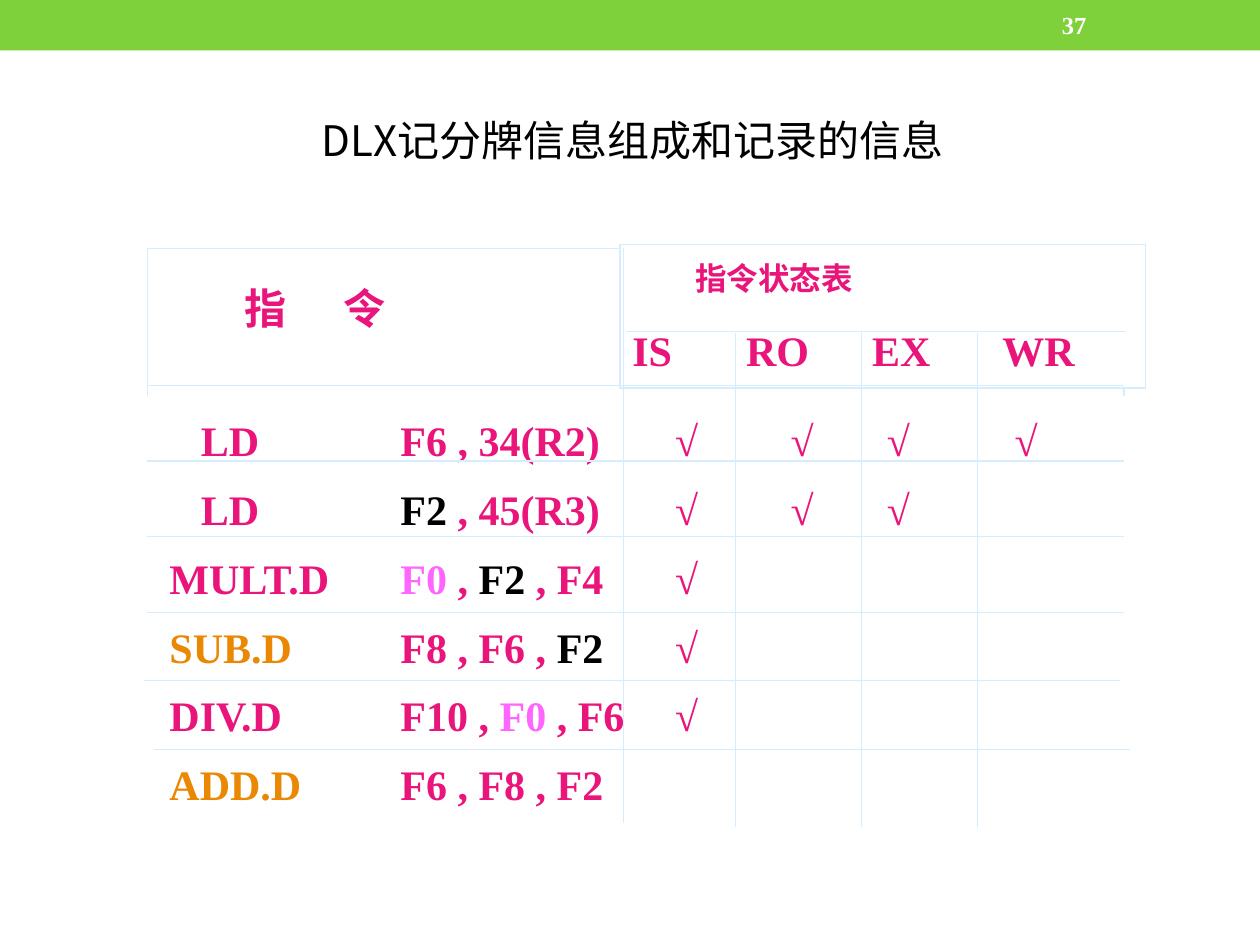
"""Build the DLX scoreboard slide with its instruction status grid."""
from lxml.etree import SubElement
from pptx import Presentation
from pptx.dml.color import RGBColor
from pptx.enum.shapes import MSO_CONNECTOR as CONNECTOR, MSO_SHAPE as SHAPE
from pptx.enum.text import MSO_ANCHOR as ANCHOR, MSO_AUTO_SIZE as AUTO_SIZE, PP_ALIGN as ALIGN
from pptx.oxml.ns import qn
from pptx.util import Pt

GREEN = RGBColor(0x7F, 0xD1, 0x3B)
WHITE = RGBColor(0xFF, 0xFF, 0xFF)
BLACK = RGBColor(0, 0, 0)
PINK = RGBColor(0xEA, 0x15, 0x7A)
VIOLET = RGBColor(0xFF, 0x66, 0xFF)
ORANGE = RGBColor(0xEB, 0x88, 0x03)
PALE_BLUE = RGBColor(0xD6, 0xEC, 0xFF)
SANS, SERIF = "Noto Sans CJK SC", "Times New Roman"

TITLE = "DLX记分牌信息组成和记录的信息"
PAGE_NUMBER = "37"
INSTRUCTION_HEADING = "指\t令"
STATUS_HEADING = "指令状态表"
STAGES = ["IS", "RO", "EX", "WR"]
INSTRUCTIONS = [
    ("LD", PINK, [("F6", PINK), ("34(R2)", PINK)], 4),
    ("LD", PINK, [("F2", BLACK), ("45(R3)", PINK)], 3),
    ("MULT.D", PINK, [("F0", VIOLET), ("F2", BLACK), ("F4", PINK)], 1),
    ("SUB.D", ORANGE, [("F8", PINK), ("F6", PINK), ("F2", BLACK)], 1),
    ("DIV.D", PINK, [("F10", PINK), ("F0", VIOLET), ("F6", PINK)], 1),
    ("ADD.D", ORANGE, [("F6", PINK), ("F8", PINK), ("F2", PINK)], 0),
]

GRID_LEFT, GRID_WIDTH = 84.24, 558
ROW_LINES = [(GRID_LEFT, 220.32), (GRID_LEFT, 263.52), (GRID_LEFT, 306.72),
             (GRID_LEFT, 349.92), (82.08, 388.8), (87.84, 428.4)]
STAGE_LINES = [420.48, 492.48, 558.72]
STAGE_TABS = [65, 137, 211.5]
OPERAND_TAB = 144
TICK_TABS = [301, 367, 422, 495]


def add_box(slide, left, top, width, height, fill=WHITE, line=None):
    box = slide.shapes.add_shape(SHAPE.RECTANGLE, Pt(left), Pt(top), Pt(width), Pt(height))
    box.shadow.inherit = False
    box.fill.solid()
    box.fill.fore_color.rgb = fill
    if line is None:
        box.line.fill.background()
    else:
        box.line.color.rgb = line
        box.line.width = Pt(0.75)
    return box


def add_rule(slide, x1, y1, x2, y2):
    rule = slide.shapes.add_connector(CONNECTOR.STRAIGHT, Pt(x1), Pt(y1), Pt(x2), Pt(y2))
    rule.line.color.rgb = PALE_BLUE
    rule.line.width = Pt(0.75)
    SubElement(rule._element.spPr, qn("a:effectLst"))


def write(paragraph, text, size=24, font=SERIF, color=PINK, bold=True,
          tabs=(), before=None, spacing=None):
    """Write a string, or a list of (string, colour) runs, into a paragraph."""
    paragraph.alignment = ALIGN.LEFT
    paragraph.space_before = before
    if spacing:
        paragraph.line_spacing = spacing
    if tabs:
        tab_list = SubElement(paragraph._p.get_or_add_pPr(), qn("a:tabLst"))
        for tab in tabs:
            SubElement(tab_list, qn("a:tab"), pos=str(int(Pt(tab))), algn="l")
    for words, run_color in [(text, color)] if isinstance(text, str) else text:
        run = paragraph.add_run()
        run.text = words
        run.font.size = Pt(size)
        run.font.bold = bold
        run.font.color.rgb = run_color
        run.font.name = font
        SubElement(run._r.get_or_add_rPr(), qn("a:ea"), typeface=font)


def frame_of(shape, inset_top=0, inset_left=7.2, anchor=ANCHOR.TOP):
    frame = shape.text_frame
    frame.word_wrap = True
    frame.auto_size = AUTO_SIZE.NONE
    frame.vertical_anchor = anchor
    frame.margin_top, frame.margin_bottom = Pt(inset_top), Pt(0)
    frame.margin_left = Pt(inset_left)
    return frame


def instruction_runs(name, name_color, operands, ticks):
    runs = [("\t" + name, name_color), ("\t", PINK)]
    for index, operand in enumerate(operands):
        if index:
            runs.append((" , ", PINK))
        runs.append(operand)
    if ticks:
        runs.append(("\t√" * ticks, PINK))
    return runs


def main():
    deck = Presentation()
    deck.slide_width, deck.slide_height = Pt(720), Pt(540)
    slide = deck.slides.add_slide(deck.slide_layouts[5])

    title = slide.shapes.title
    title.left, title.top, title.width, title.height = Pt(172.8), Pt(65.5), Pt(437.8), Pt(36)
    write(frame_of(title, inset_left=11).paragraphs[0], TITLE,
          font=SANS, color=BLACK, bold=False)

    add_box(slide, 0, 0, 720, 28.8, fill=GREEN)
    page = slide.shapes.add_textbox(Pt(599.76), Pt(1.44), Pt(84.24), Pt(25.92))
    write(frame_of(page, anchor=ANCHOR.MIDDLE).paragraphs[0], PAGE_NUMBER, size=14, color=WHITE)

    add_box(slide, GRID_LEFT, 141.84, GRID_WIDTH, 329.76, line=PALE_BLUE)
    instruction = add_box(slide, 132.48, 159.84, 180, 38.16)
    write(frame_of(instruction, inset_top=1.5).paragraphs[0], INSTRUCTION_HEADING,
          font=SANS, tabs=[57])

    status = frame_of(add_box(slide, 354.24, 139.68, 300.24, 82.08, line=PALE_BLUE),
                      inset_top=8.5)
    write(status.paragraphs[0], "\t" + STATUS_HEADING, size=18, font=SANS, tabs=[36])
    write(status.add_paragraph(), "\t".join(STAGES), tabs=STAGE_TABS, before=Pt(15.7))

    listing = frame_of(add_box(slide, 77.76, 226.08, 581.76, 293.04))
    for index, row in enumerate(INSTRUCTIONS):
        paragraph = listing.add_paragraph() if index else listing.paragraphs[0]
        name_tab = 30 if row[0] == "LD" else 12
        write(paragraph, instruction_runs(*row), spacing=Pt(39.4),
              tabs=[name_tab, OPERAND_TAB, *TICK_TABS])

    for left, y in ROW_LINES:
        add_rule(slide, left, y, left + GRID_WIDTH, y)
    add_rule(slide, 357.84, 189.36, 643.68, 189.36)
    add_rule(slide, 356.4, 141.84, 356.4, 470.16)
    for x in STAGE_LINES:
        add_rule(slide, x, 190.08, x, 472.32)

    deck.save("out.pptx")


if __name__ == "__main__":
    main()
